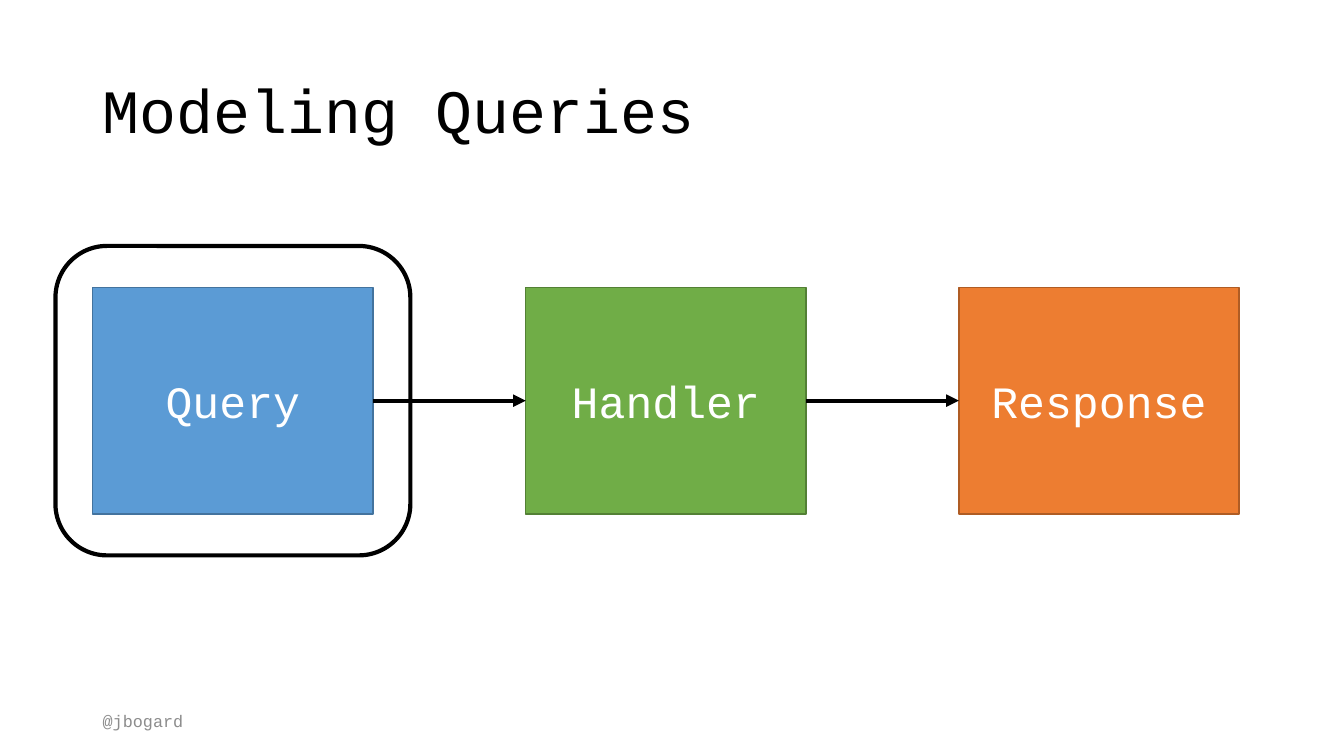
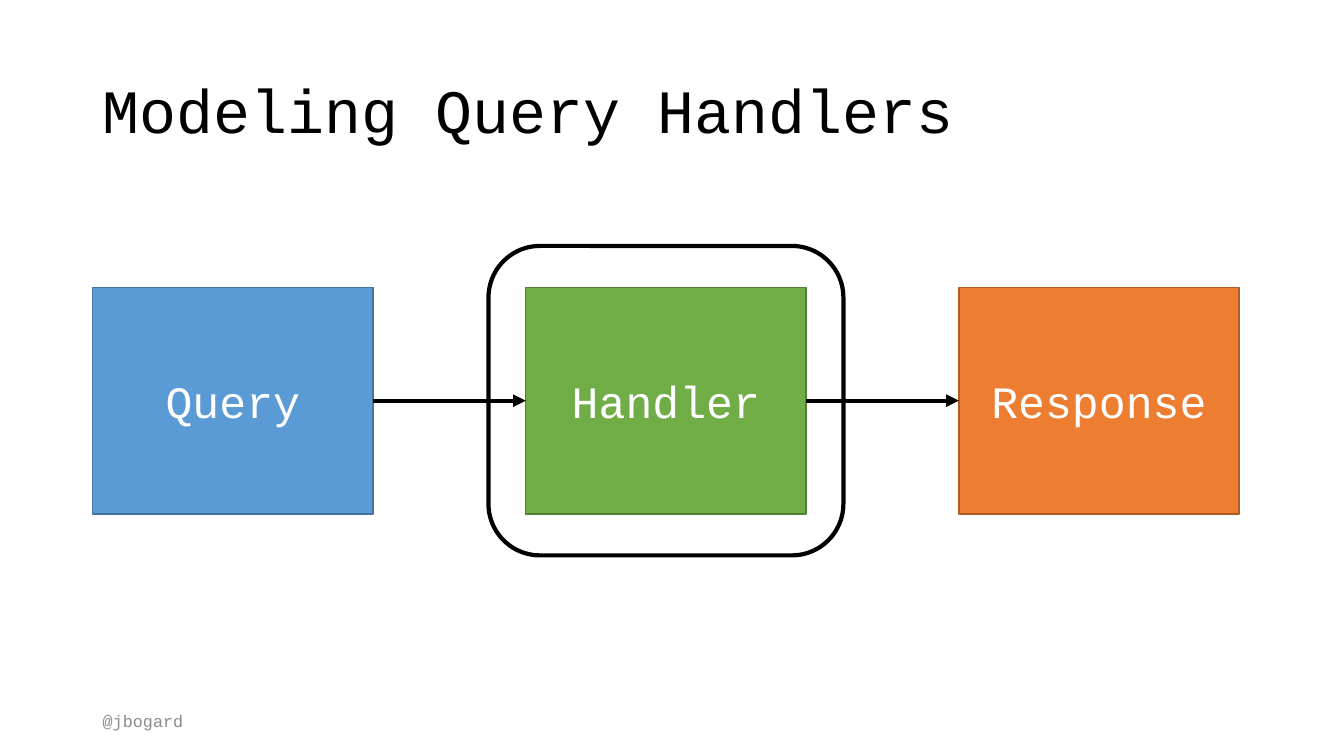
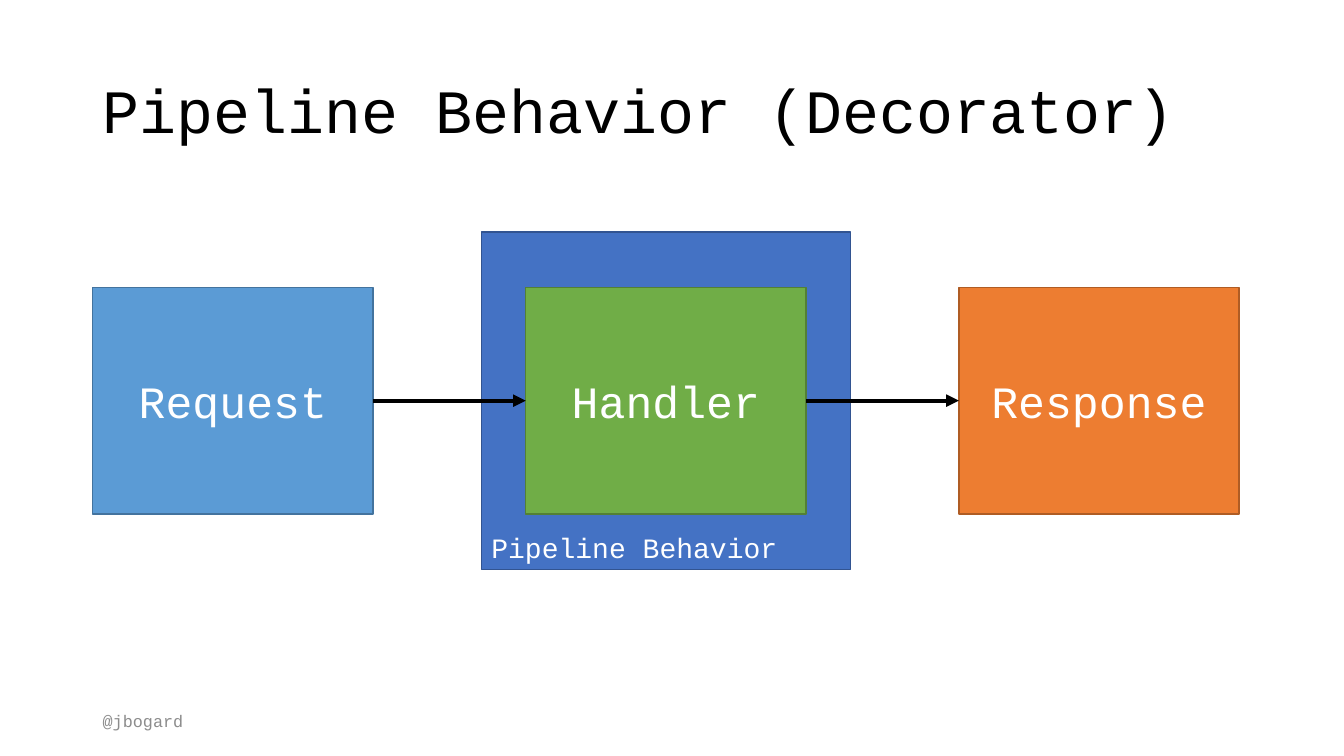
import pptx
import pptx.util
import pptx.dml.color
import pptx.enum.shapes
import pptx.enum.text
import pptx.oxml.ns
from lxml import etree

Inches = pptx.util.Inches
Pt = pptx.util.Pt
Shape = pptx.enum.shapes.MSO_SHAPE
Anchor = pptx.enum.text.MSO_ANCHOR
Align = pptx.enum.text.PP_ALIGN

# Content: three stages per slide, one of them framed or wrapped
SLIDES = [
    {"title": "Modeling Queries",
     "stages": ["Query", "Handler", "Response"], "framed": 0},
    {"title": "Modeling Query Handlers",
     "stages": ["Query", "Handler", "Response"], "framed": 1},
    {"title": "Pipeline Behavior (Decorator)",
     "stages": ["Request", "Handler", "Response"],
     "wrapped": 1, "wrapper": "Pipeline Behavior"},
]
FOOTER = "@jbogard"

# Shared style
FONT = "Courier New"
COLORS = {
    "black": "000000", "white": "FFFFFF", "footer": "8C8C8C",
    "blue": "5B9BD5", "blue_edge": "43739E",
    "green": "70AD47", "green_edge": "538035",
    "orange": "ED7D31", "orange_edge": "AF5C24",
    "navy": "4472C4", "navy_edge": "325491",
}
STAGE_COLORS = ["blue", "green", "orange"]

# Diagram grid, in inches
FIRST_LEFT, LAST_LEFT, STAGE_TOP = 0.92, 9.51, 2.85
STAGE_WIDTH, STAGE_HEIGHT = 2.78, 2.25
PITCH = (LAST_LEFT - FIRST_LEFT) / (len(STAGE_COLORS) - 1)
FRAME_MARGIN = (0.37, 0.41)
WRAPPER_MARGIN = (0.44, 0.55)


def color(name):
    return pptx.dml.color.RGBColor.from_string(COLORS[name])


def stage_area(index, margin=(0, 0)):
    """Place of a stage, grown on every side by the margin."""
    across, down = margin
    area = (FIRST_LEFT + index * PITCH - across, STAGE_TOP - down,
            STAGE_WIDTH + 2 * across, STAGE_HEIGHT + 2 * down)
    return [Inches(length) for length in area]


def write(box, text, size, tint, anchor=Anchor.MIDDLE, align=Align.LEFT):
    frame = box.text_frame
    frame.word_wrap = True
    frame.auto_size = pptx.enum.text.MSO_AUTO_SIZE.NONE
    frame.vertical_anchor = anchor
    para = frame.paragraphs[0]
    para.text = text
    para.alignment = align
    para.font.name = FONT
    para.font.size = Pt(size)
    para.font.color.rgb = color(tint)
    return para


def add_title(page, text):
    title = page.shapes.title
    title.left, title.top = Inches(0.92), Inches(0.4)
    title.width, title.height = Inches(11.5), Inches(1.45)
    write(title, text, 44, "black").line_spacing = 0.9


def add_footer(page):
    box = page.shapes.add_textbox(Inches(0.92), Inches(6.95), Inches(3), Inches(0.4))
    write(box, FOOTER, 12, "footer")


def add_block(page, area, tint):
    block = page.shapes.add_shape(Shape.RECTANGLE, *area)
    block.shadow.inherit = False
    block.fill.solid()
    block.fill.fore_color.rgb = color(tint)
    block.line.color.rgb = color(tint + "_edge")
    block.line.width = Pt(1)
    return block


def add_frame(page, index):
    frame = page.shapes.add_shape(Shape.ROUNDED_RECTANGLE, *stage_area(index, FRAME_MARGIN))
    frame.shadow.inherit = False
    frame.fill.background()
    frame.line.color.rgb = color("black")
    frame.line.width = Pt(3)


def add_arrow(page, source, target):
    arrow = page.shapes.add_connector(pptx.enum.shapes.MSO_CONNECTOR.STRAIGHT, 0, 0, 0, 0)
    arrow.begin_connect(source, 3)
    arrow.end_connect(target, 1)
    arrow.line.color.rgb = color("black")
    arrow.line.width = Pt(3)
    qn = pptx.oxml.ns.qn
    etree.SubElement(arrow.line._get_or_add_ln(), qn("a:tailEnd"), type="triangle")
    etree.SubElement(arrow._element.spPr, qn("a:effectLst"))


def add_pipeline(page, content):
    # The wrapper lies behind the stages
    if "wrapped" in content:
        wrapper = add_block(page, stage_area(content["wrapped"], WRAPPER_MARGIN), "navy")
        write(wrapper, content["wrapper"], 20, "white", Anchor.BOTTOM)

    # Stages, then the arrows between neighbours
    stages = []
    for index, (name, tint) in enumerate(zip(content["stages"], STAGE_COLORS)):
        stage = add_block(page, stage_area(index), tint)
        write(stage, name, 32, "white", align=Align.CENTER)
        stages.append(stage)
    for source, target in zip(stages, stages[1:]):
        add_arrow(page, source, target)

    if "framed" in content:
        add_frame(page, content["framed"])


def main():
    deck = pptx.Presentation()
    deck.slide_width, deck.slide_height = Inches(13.33), Inches(7.5)
    title_only = deck.slide_layouts[5]
    for content in SLIDES:
        page = deck.slides.add_slide(title_only)
        add_title(page, content["title"])
        add_footer(page)
        add_pipeline(page, content)
    deck.save("out.pptx")


if __name__ == "__main__":
    main()
